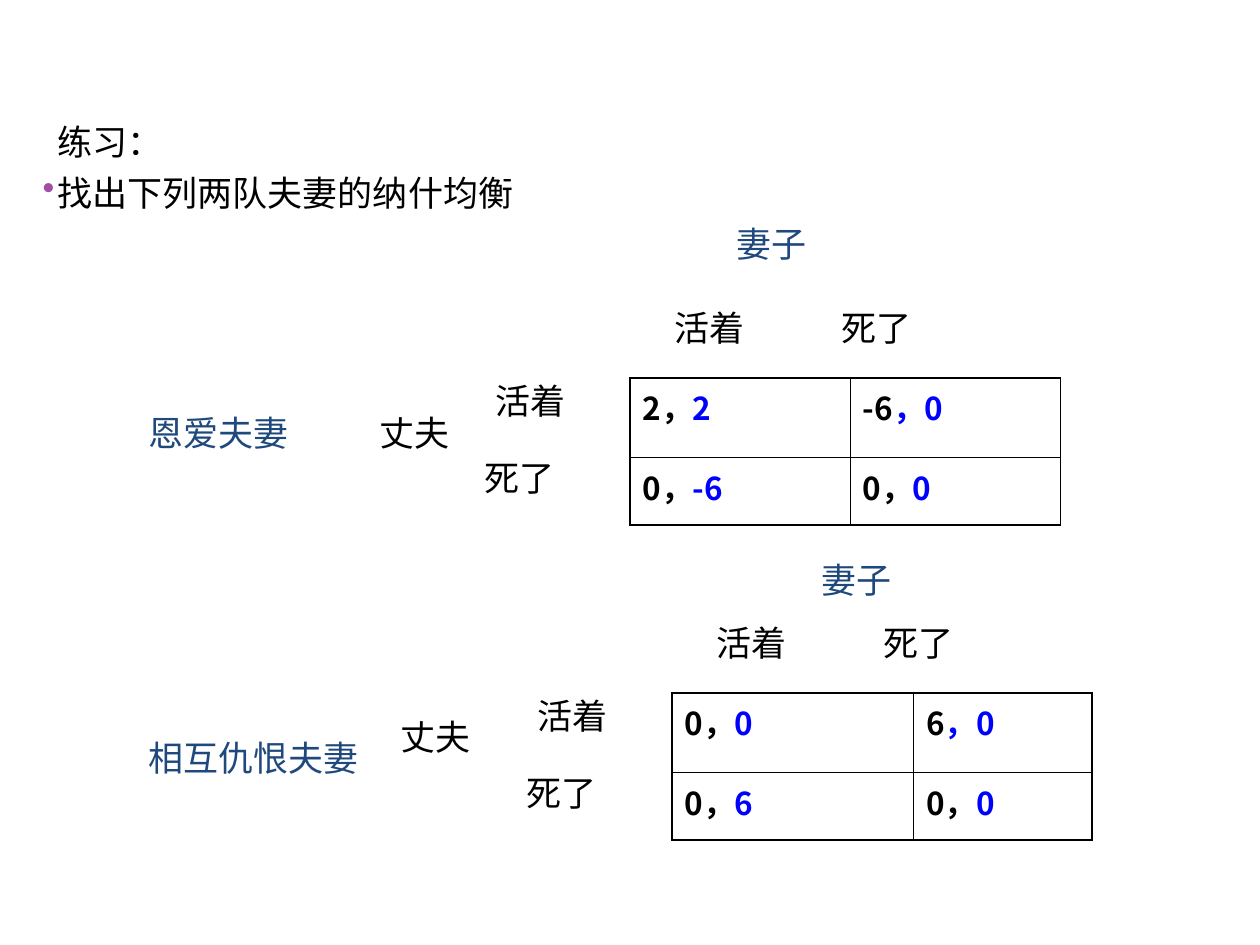
from typing import NamedTuple

from lxml import etree
from pptx import Presentation
from pptx import util as u
from pptx.dml import color
from pptx.enum import text
from pptx.oxml import ns

FONT = "Noto Sans CJK SC"
BLACK, NAVY, BLUE, PURPLE = "000000", "1F497D", "0000FF", "A04DA3"
LEFT, MID = text.PP_ALIGN.LEFT, text.PP_ALIGN.CENTER
THICK, THIN = 1.08, 0.45
ROWS = (1.6, 1.37)


class Label(NamedTuple):
    words: str
    x: float
    y: float
    w: float
    tint: str = BLACK
    align: text.PP_ALIGN = LEFT


class Game(NamedTuple):
    x: float
    y: float
    cols: tuple
    pays: tuple
    tags: tuple


AXES = (
    Label("活着", 0.64, -1.47, 3.2),
    Label("死了", 4.02, -1.47, 3.35),
    Label("活着", -2.97, 0, 2.62),
    Label("死了", -3.18, 1.55, 3.1),
)

GAMES = (
    Game(12.7, 7.62, (4.44, 4.24),
         ((("2，", "2"), ("-6", "，0")), (("0，", "-6"), ("0，", "0"))),
         (Label("妻子", 14.6, 4.45, 4.45, NAVY),
          Label("丈夫", 7.41, 8.26, 2.74),
          Label("恩爱夫妻", 2.74, 8.26, 4.17, NAVY))),
    Game(13.55, 13.97, (4.87, 3.6),
         ((("0，", "0"), ("6", "，0")), (("0，", "6"), ("0，", "0"))),
         (Label("妻子", 15.04, 11.23, 4.45, NAVY, MID),
          Label("丈夫", 7.83, 14.4, 2.74),
          Label("相互仇恨夫妻", 2.74, 14.81, 6.07, NAVY))),
)


def add(parent, tag: str, **attrs: str):
    return etree.SubElement(parent, ns.qn(tag), **attrs)


def write(para, words: str, size: float = 20, tint: str = BLACK, bold: bool = False) -> None:
    run = para.add_run()
    run.text = words
    font = run.font
    font.size, font.bold, font.name = u.Pt(size), bold, FONT
    font.color.rgb = color.RGBColor.from_string(tint)
    font.language_id = None
    props = run.font._element
    props.set("lang", "zh-CN")
    add(props, "a:ea", typeface=FONT)


def frame(slide, x: float, y: float, w: float, h: float):
    body = slide.shapes.add_textbox(u.Cm(x), u.Cm(y), u.Cm(w), u.Cm(h)).text_frame
    body.word_wrap = True
    return body


def draw_label(slide, tag: Label, dx: float = 0, dy: float = 0) -> None:
    para = frame(slide, tag.x + dx, tag.y + dy, tag.w, 1.12).paragraphs[0]
    para.alignment, para.line_spacing = tag.align, 0.9
    write(para, tag.words, tint=tag.tint)


def draw_edges(cell, row: int, col: int) -> None:
    props = cell._tc.get_or_add_tcPr()
    outer = {"a:lnL": col == 0, "a:lnR": col == 1, "a:lnT": row == 0, "a:lnB": row == 1}
    for side, edge in outer.items():
        line = add(props, side, w=str(int(u.Pt(THICK if edge else THIN))))
        add(add(line, "a:solidFill"), "a:srgbClr", val=BLACK)
    cell.fill.background()


def draw_game(slide, game: Game) -> None:
    table = slide.shapes.add_table(2, 2, u.Cm(game.x), u.Cm(game.y),
                                   u.Cm(sum(game.cols)), u.Cm(sum(ROWS))).table
    table.first_row = table.horz_banding = False
    for col, wide in zip(table.columns, game.cols):
        col.width = u.Cm(wide)
    for r, (tall, pairs) in enumerate(zip(ROWS, game.pays)):
        table.rows[r].height = u.Cm(tall)
        for c, pair in enumerate(pairs):
            cell = table.cell(r, c)
            draw_edges(cell, r, c)
            for words, tint in zip(pair, (BLACK, BLUE)):
                write(cell.text_frame.paragraphs[0], words, 18, tint, True)
    for tag in AXES:
        draw_label(slide, tag, game.x, game.y)
    for tag in game.tags:
        draw_label(slide, tag)


def draw_task(slide) -> None:
    body = frame(slide, 0.61, 2.41, 22.66, 11.43)
    head, item = body.paragraphs[0], body.add_paragraph()
    indent = str(int(u.Cm(0.3)))
    for para in (head, item):
        para.line_spacing, para.space_after = 0.9, u.Pt(4)
        para._p.get_or_add_pPr().set("marL", indent)
    item.space_before = u.Pt(3)
    props = item._p.get_or_add_pPr()
    props.set("indent", "-" + indent)
    add(add(props, "a:buClr"), "a:srgbClr", val=PURPLE)
    add(props, "a:buChar", char="•")
    write(head, "练习：")
    write(item, "找出下列两队夫妻的纳什均衡")


def main() -> None:
    deck = Presentation()
    deck.slide_width, deck.slide_height = u.Cm(25.4), u.Cm(19.05)
    slide = deck.slides.add_slide(deck.slide_layouts[6])
    draw_task(slide)
    for game in GAMES:
        draw_game(slide, game)
    deck.save("out.pptx")


if __name__ == "__main__":
    main()
